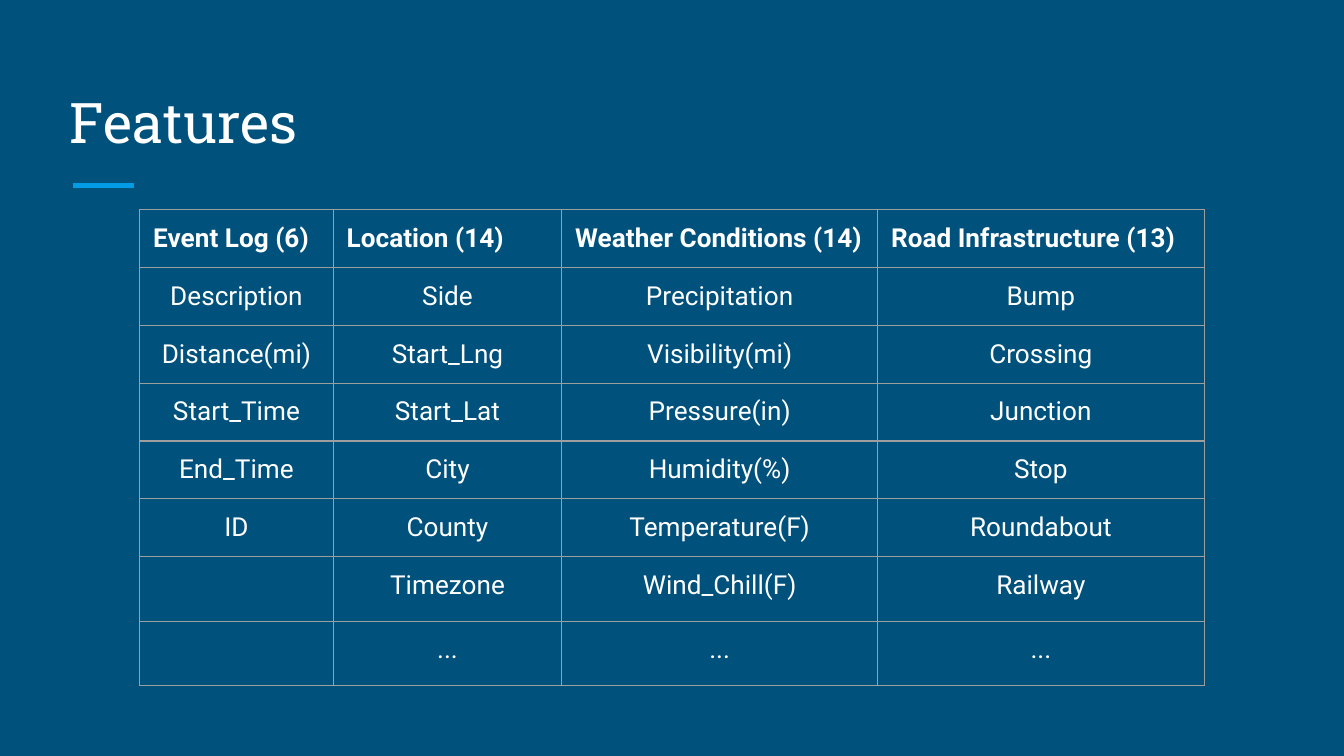
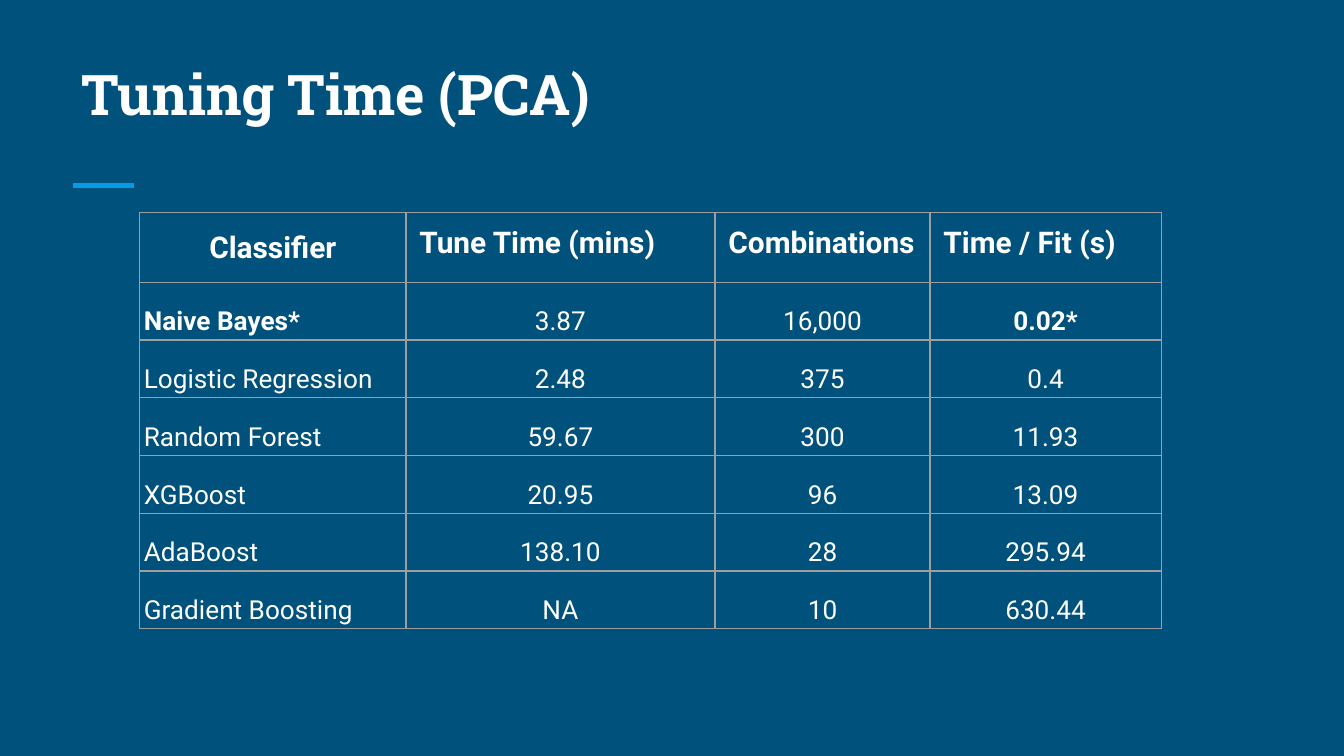
from lxml import etree
from pptx import Presentation
from pptx import util as u
from pptx.dml.color import RGBColor
from pptx.enum import shapes, text
from pptx.oxml import ns

NAVY, BLUE, WHITE, GREY = "00517C", "039BE5", "FFFFFF", "9E9E9E"
HEAD, BODY = "Roboto Slab", "Roboto"
LEFT, MID = text.PP_ALIGN.LEFT, text.PP_ALIGN.CENTER

FEATURES = [
    ["Event Log (6)", "Location (14)", "Weather Conditions (14)", "Road Infrastructure (13)"],
    ["Description", "Side", "Precipitation", "Bump"],
    ["Distance(mi)", "Start_Lng", "Visibility(mi)", "Crossing"],
    ["Start_Time", "Start_Lat", "Pressure(in)", "Junction"],
    ["End_Time", "City", "Humidity(%)", "Stop"],
    ["ID", "County", "Temperature(F)", "Roundabout"],
    ["", "Timezone", "Wind_Chill(F)", "Railway"],
    ["", "...", "...", "..."],
]
TIMES = [
    ["Classifier", "Tune Time (mins)", "Combinations", "Time / Fit (s)"],
    ["Naive Bayes*", "3.87", "16,000", "0.02*"],
    ["Logistic Regression", "2.48", "375", "0.4"],
    ["Random Forest", "59.67", "300", "11.93"],
    ["XGBoost", "20.95", "96", "13.09"],
    ["AdaBoost", "138.10", "28", "295.94"],
    ["Gradient Boosting", "NA", "10", "630.44"],
]


def color(code):
    return RGBColor.from_string(code)


def style(para, size, face=BODY, bold=False, align=LEFT):
    para.alignment = align
    font = para.font
    font.size, font.name, font.bold = u.Pt(size), face, bold
    font.color.rgb = color(WHITE)


def border(cell, width=0.75):
    props = cell._tc.get_or_add_tcPr()
    for side in ("a:lnL", "a:lnR", "a:lnT", "a:lnB"):
        line = etree.SubElement(props, ns.qn(side), w=str(u.Pt(width)))
        fill = etree.SubElement(line, ns.qn("a:solidFill"))
        etree.SubElement(fill, ns.qn("a:srgbClr"), val=GREY)


def inset(cell, across, down):
    cell.margin_left = cell.margin_right = u.Inches(across)
    cell.margin_top = cell.margin_bottom = u.Inches(down)


def add_page(deck, name, left, top, bold=False):
    """Add a slide with its title and the short accent rule."""
    page = deck.slides.add_slide(deck.slide_layouts[5])
    rule = page.shapes.add_connector(
        shapes.MSO_CONNECTOR.STRAIGHT,
        u.Inches(0.54), u.Inches(1.38), u.Inches(1), u.Inches(1.38))
    rule.line.color.rgb = color(BLUE)
    rule.line.width = u.Pt(3)
    etree.SubElement(rule._element.spPr, ns.qn("a:effectLst"))

    title = page.shapes.title
    title.left, title.top = u.Inches(left), u.Inches(top)
    title.width, title.height = u.Inches(9.15), u.Inches(0.75)
    frame = title.text_frame
    frame.text = name
    frame.auto_size = text.MSO_AUTO_SIZE.NONE
    frame.vertical_anchor = text.MSO_ANCHOR.BOTTOM
    inset(frame, 0.1, 0.1)
    style(frame.paragraphs[0], 30, HEAD, bold)
    return page


def add_grid(page, top, rows, widths, heights):
    """Add a bordered table and return it with its text filled in."""
    grid = page.shapes.add_table(
        len(rows), len(widths), u.Inches(1.04), u.Inches(top),
        u.Inches(sum(widths)), u.Inches(sum(heights))).table
    grid.first_row = grid.horz_banding = False
    for col, width in zip(grid.columns, widths):
        col.width = u.Inches(width)
    for row, height, words in zip(grid.rows, heights, rows):
        row.height = u.Inches(height)
        for cell, word in zip(row.cells, words):
            cell.text = word
            inset(cell, 0.1, 0.1)
            border(cell)
            cell.fill.background()
    return grid


def add_features(deck):
    page = add_page(deck, "Features", 0.42, 0.5)
    grid = add_grid(page, 1.56, FEATURES, [1.44, 1.7, 2.35, 2.43],
                    [0.43] * 6 + [0.48] * 2)
    for r, row in enumerate(grid.rows):
        for cell in row.cells:
            style(cell.text_frame.paragraphs[0], 14, bold=r == 0,
                  align=MID if r else LEFT)


def add_times(deck):
    page = add_page(deck, "Tuning Time (PCA)", 0.51, 0.29, bold=True)
    grid = add_grid(page, 1.58, TIMES, [1.98, 2.3, 1.6, 1.72],
                    [0.52] + [0.43] * 6)
    for r, row in enumerate(grid.rows):
        for c, cell in enumerate(row.cells):
            para = cell.text_frame.paragraphs[0]
            if r:
                inset(cell, 0.03, 0.02)
                cell.vertical_anchor = text.MSO_ANCHOR.BOTTOM
                para.line_spacing = 1.15
                style(para, 14, bold=cell.text.endswith("*"),
                      align=MID if c else LEFT)
            else:
                style(para, 16, bold=True, align=LEFT if c else MID)
    first = grid.cell(0, 0).text_frame.paragraphs[0]
    first.line_spacing, first.space_after = 1.15, u.Pt(12)


def main():
    deck = Presentation()
    deck.slide_width, deck.slide_height = u.Inches(10), u.Inches(10 * 9 / 16)
    fill = deck.slide_master.background.fill
    fill.solid()
    fill.fore_color.rgb = color(NAVY)
    add_features(deck)
    add_times(deck)
    deck.save("out.pptx")


if __name__ == "__main__":
    main()
